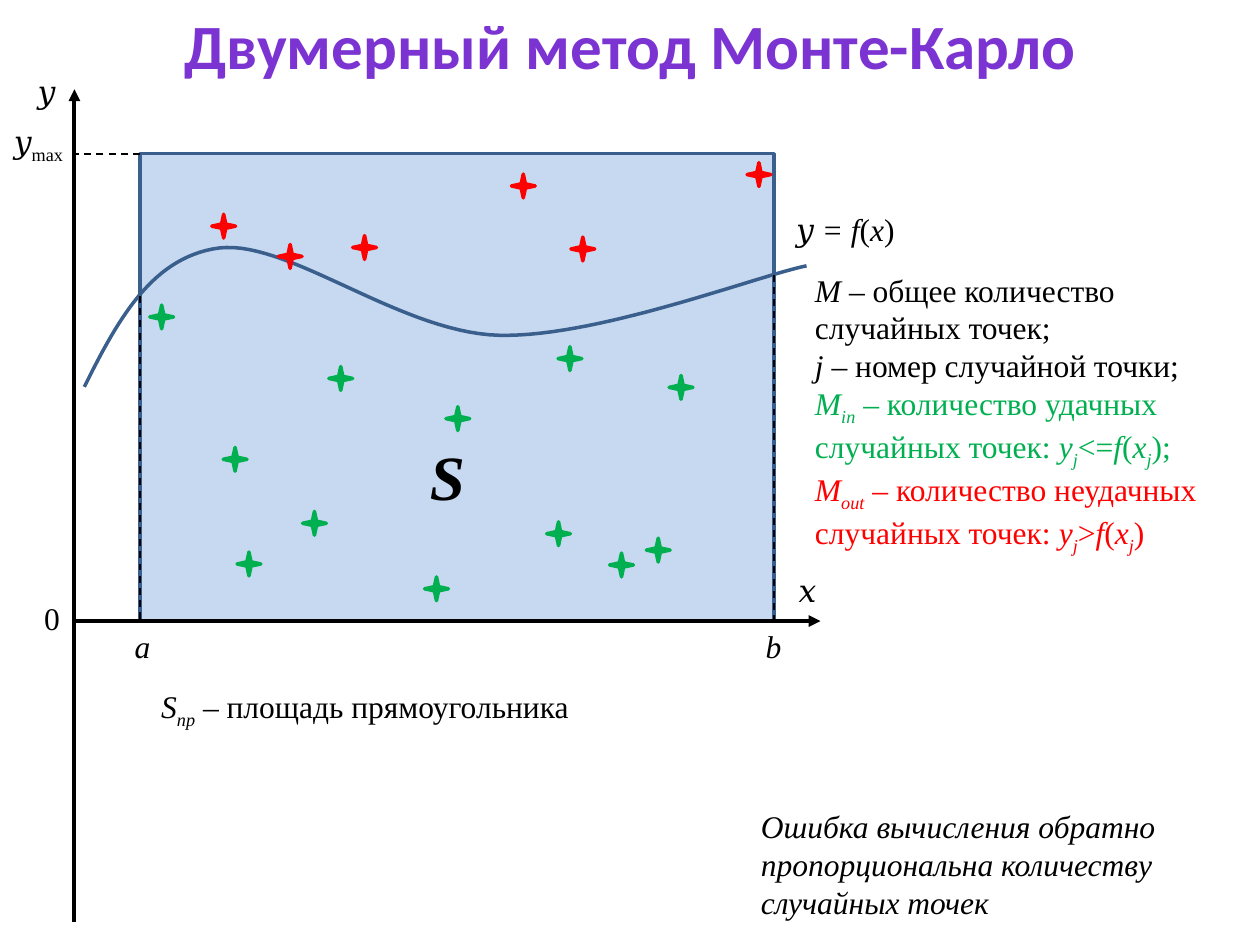
import pptx
import pptx.util
import pptx.dml.color
import pptx.enum.dml
import pptx.enum.shapes
import pptx.enum.text
import pptx.oxml.ns
from lxml import etree

Cm, Pt = pptx.util.Cm, pptx.util.Pt
RGBColor = pptx.dml.color.RGBColor
MSO_SHAPE = pptx.enum.shapes.MSO_SHAPE
PP_ALIGN = pptx.enum.text.PP_ALIGN
MSO_AUTO_SIZE = pptx.enum.text.MSO_AUTO_SIZE
qn = pptx.oxml.ns.qn

BLACK = RGBColor(0, 0, 0)
PURPLE = RGBColor(0x7B, 0x34, 0xD2)
PALE_BLUE = RGBColor(0xC6, 0xD9, 0xF1)
BLUE = RGBColor(0x3A, 0x5F, 0x8C)
GREEN = RGBColor(0x00, 0xB0, 0x50)
RED = RGBColor(0xFF, 0, 0)

SERIF = "Times New Roman"
LEFT, TOP, RIGHT, BOTTOM = 2.82, 3.1, 15.6, 12.52
AXIS_X = 1.5
STAR = 0.48

AXES = [(AXIS_X, BOTTOM, 16.54, BOTTOM), (AXIS_X, 18.59, AXIS_X, 1.8)]
GUIDES = [(LEFT, 5.97, LEFT, BOTTOM), (RIGHT, 5.54, RIGHT, BOTTOM),
          (LEFT, TOP, AXIS_X, TOP)]
CURVE = [
    [(1.7, 7.8), (2.36, 6.48), (3.05, 5.18), (4.42, 5.0)],
    [(4.42, 5.0), (5.82, 4.83), (8.08, 6.71), (10.06, 6.76)],
    [(10.06, 6.76), (12.04, 6.81), (15.27, 5.56), (16.26, 5.36)],
]
STARS = {
    GREEN: [(4.5, 9.02), (6.1, 10.31), (13.49, 7.57), (4.78, 11.13),
            (8.99, 8.2), (12.29, 11.15), (11.25, 6.99), (8.56, 11.63),
            (6.63, 7.39), (3.02, 6.15), (13.03, 10.85), (11.02, 10.52)],
    RED: [(11.51, 4.78), (7.11, 4.75), (5.61, 4.93), (15.06, 3.28),
          (4.27, 4.32), (10.31, 3.51)],
}

TITLE = [(PURPLE, [("Двумерный метод Монте-Карло", "")])]
LABELS = [
    (15.85, 11.38, 1.27, [("𝑥", "")], PP_ALIGN.LEFT),
    (0.51, 1.32, 1.27, [("𝑦", "")], PP_ALIGN.LEFT),
    (0.03, 2.34, 1.27, [("𝑦", ""), ("max", "s")], PP_ALIGN.LEFT),
    (0.64, 11.96, 1.27, [("0", "")], PP_ALIGN.LEFT),
    (2.24, 12.52, 1.27, [("a", "i")], PP_ALIGN.CENTER),
    (14.96, 12.52, 1.27, [("b", "i")], PP_ALIGN.CENTER),
    (15.8, 4.11, 2.49, [("𝑦 = f", "i"), ("(", ""), ("x", "i"), (")", "")],
     PP_ALIGN.LEFT),
]


def condition(sign):
    return [("y", "i"), ("j", "is"), (sign, ""), ("f", "i"), ("(", ""),
            ("x", "i"), ("j", "is")]


LEGEND = [
    (BLACK, [("M", "i"), (" – общее количество случайных точек;", "")]),
    (BLACK, [("j", "i"), (" – номер случайной точки;", "")]),
    (GREEN, [("M", "i"), ("in", "is"),
             (" – количество удачных случайных точек: ", "")]
     + condition("<=") + [(");", "")]),
    (RED, [("M", "i"), ("out", "is"),
           (" – количество неудачных случайных точек: ", "")]
     + condition(">") + [(")", "")]),
]
AREA = [(BLACK, [("S", "i"), ("пр", "is"), (" – площадь прямоугольника", "")])]
ERROR = [(BLACK, [("Ошибка вычисления обратно пропорциональна количеству "
                   "случайных точек", "i")])]


def add_text(s, x, y, w, h, paragraphs, size=18, font=SERIF, bold=False,
             align=PP_ALIGN.LEFT, wrap=True):
    tf = s.shapes.add_textbox(Cm(x), Cm(y), Cm(w), Cm(h)).text_frame
    tf.word_wrap = wrap
    tf.auto_size = MSO_AUTO_SIZE.SHAPE_TO_FIT_TEXT if wrap else MSO_AUTO_SIZE.NONE
    for i, (color, runs) in enumerate(paragraphs):
        p = tf.paragraphs[0] if i == 0 else tf.add_paragraph()
        p.alignment = align
        p.font.name, p.font.size, p.font.bold = font, Pt(size), bold
        p.font.color.rgb = color
        for text, style in runs:
            r = p.add_run()
            r.text = text
            r.font.italic = "i" in style
            if "s" in style:
                r.font._element.set("baseline", "-25000")


def add_line(s, ends, width, arrow=False, dashed=False):
    c = s.shapes.add_connector(pptx.enum.shapes.MSO_CONNECTOR.STRAIGHT,
                               *[Cm(v) for v in ends])
    c.line.color.rgb = BLACK
    c.line.width = Pt(width)
    if dashed:
        c.line.dash_style = pptx.enum.dml.MSO_LINE.DASH
    if arrow:
        etree.SubElement(c.line._get_or_add_ln(), qn("a:tailEnd"), type="triangle")
    etree.SubElement(c._element.spPr, qn("a:effectLst"))


def paint(sp, fill, line):
    sp.shadow.inherit = False
    if fill is None:
        sp.fill.background()
    else:
        sp.fill.solid()
        sp.fill.fore_color.rgb = fill
    sp.line.color.rgb = line
    sp.line.width = Pt(2)


def bezier(points, t):
    weights = ((1 - t) ** 3, 3 * t * (1 - t) ** 2, 3 * t * t * (1 - t), t ** 3)
    return tuple(Cm(sum(k * v for k, v in zip(weights, axis)))
                 for axis in zip(*points))


def add_curve(s, segments, steps=30):
    builder = s.shapes.build_freeform(*bezier(segments[0], 0))
    builder.add_line_segments([bezier(seg, n / steps) for seg in segments
                               for n in range(1, steps + 1)], close=False)
    paint(builder.convert_to_shape(), None, BLUE)


def main():
    prs = pptx.Presentation()
    prs.slide_width, prs.slide_height = Cm(25.4), Cm(19.05)
    s = prs.slides.add_slide(prs.slide_layouts[6])

    area = s.shapes.add_shape(MSO_SHAPE.RECTANGLE, Cm(LEFT), Cm(TOP),
                              Cm(RIGHT - LEFT), Cm(BOTTOM - TOP))
    paint(area, PALE_BLUE, BLUE)
    add_text(s, 0, 0, 25.4, 1.8, TITLE, 36, "Calibri", True, PP_ALIGN.CENTER)
    for ends in AXES:
        add_line(s, ends, 2.25, arrow=True)
    add_curve(s, CURVE)
    for ends in GUIDES:
        add_line(s, ends, 1, dashed=True)
    for color, places in STARS.items():
        for x, y in places:
            sp = s.shapes.add_shape(MSO_SHAPE.STAR_4_POINT, Cm(x), Cm(y),
                                    Cm(STAR), Cm(STAR))
            paint(sp, color, color)
    for x, y, w, runs, align in LABELS:
        add_text(s, x, y, w, 1.14, [(BLACK, runs)], align=align, wrap=False)
    add_text(s, 8.46, 8.69, 1.12, 1.65, [(BLACK, [("S", "i")])], 36, bold=True,
             align=PP_ALIGN.CENTER, wrap=False)
    add_text(s, 16.18, 5.33, 9.17, 5.64, LEGEND)
    add_text(s, 3, 13.72, 9.17, 1.02, AREA)
    add_text(s, 15.09, 16.15, 10.01, 2.57, ERROR)
    prs.save("out.pptx")


if __name__ == "__main__":
    main()
